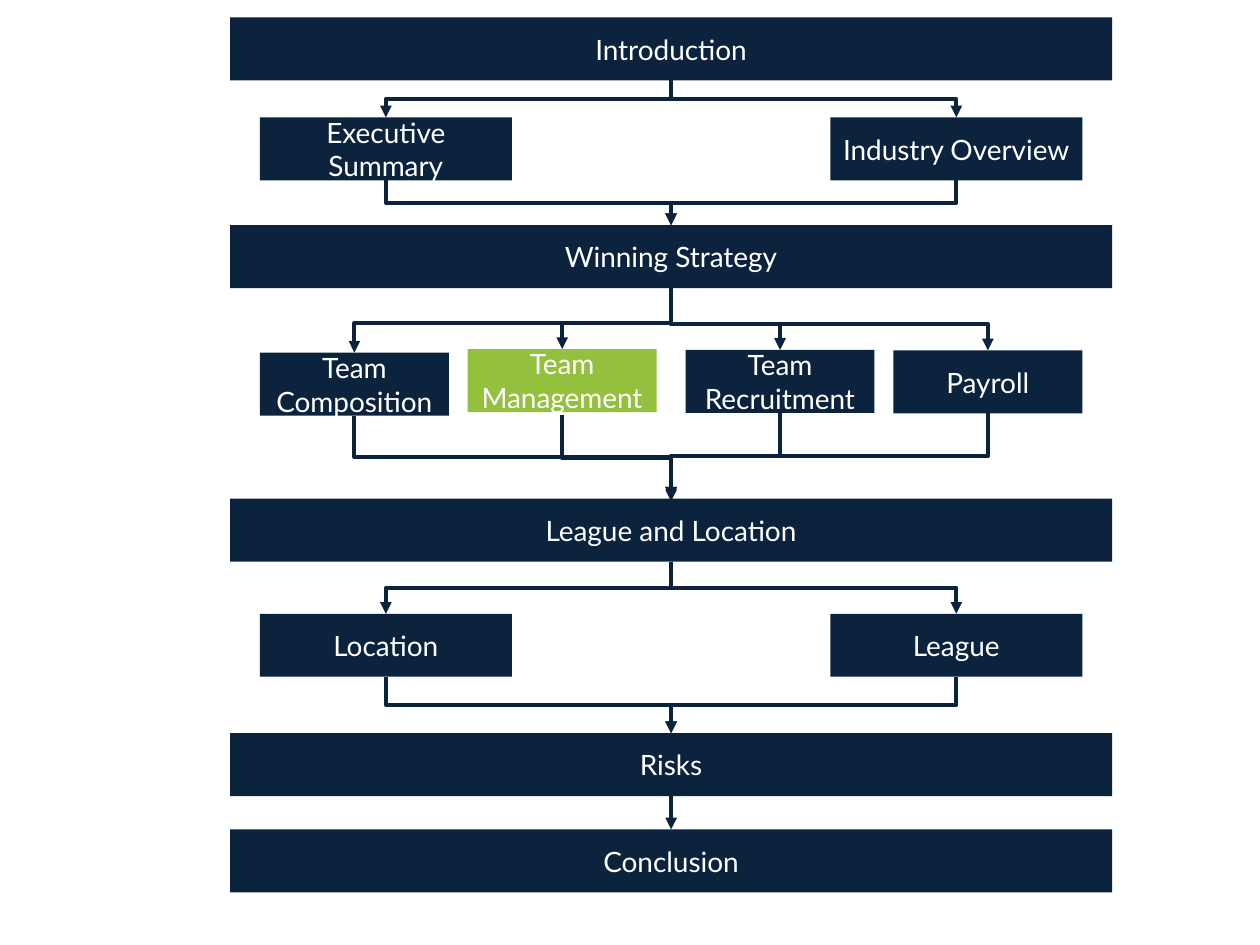
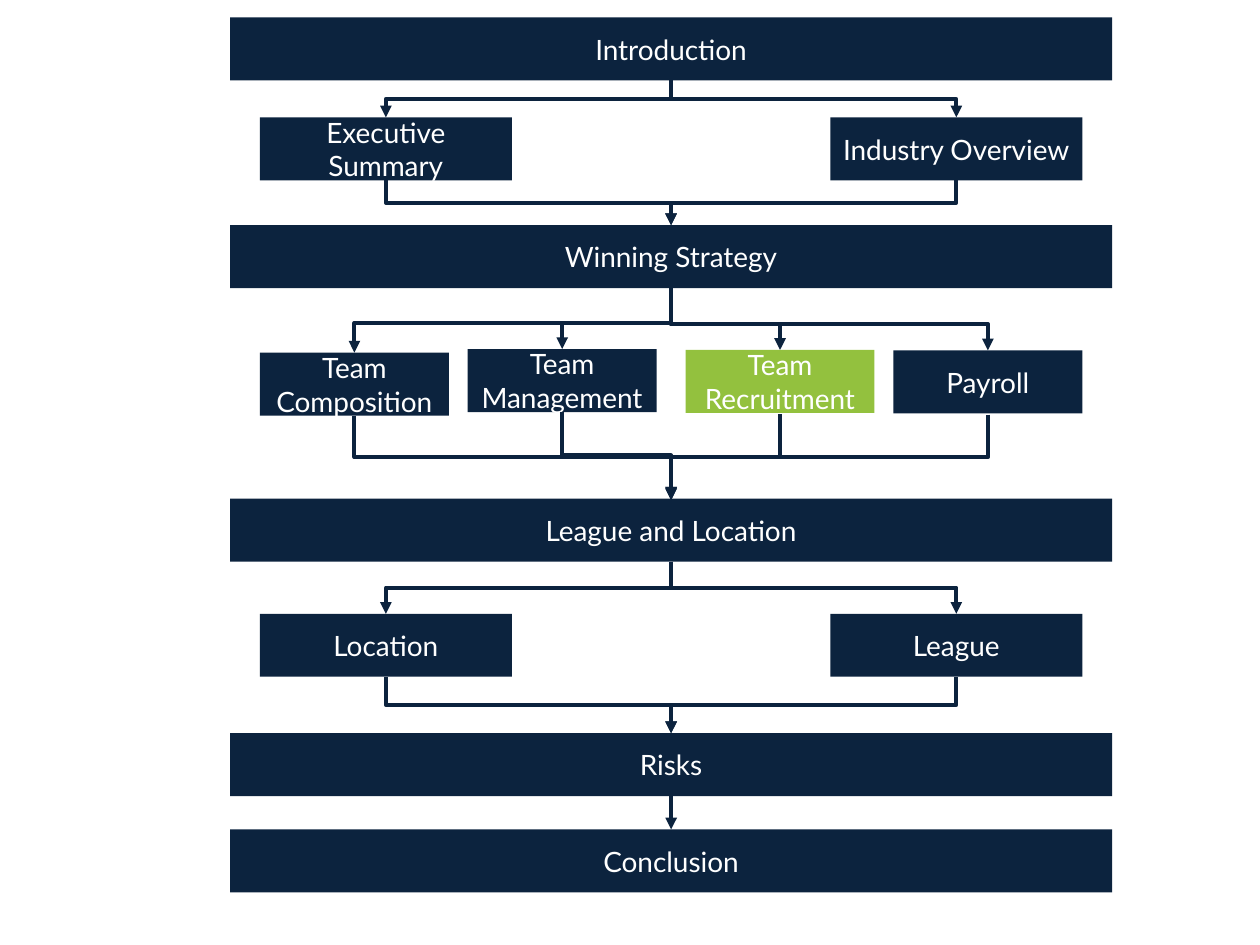
"""Build two report-roadmap slides, each highlighting one section."""
from dataclasses import dataclass, field

from lxml.etree import SubElement
from pptx import Presentation
from pptx.dml.color import RGBColor
from pptx.enum.shapes import MSO_CONNECTOR, MSO_SHAPE
from pptx.enum.text import MSO_ANCHOR, PP_ALIGN
from pptx.oxml.ns import qn
from pptx.slide import Slide
from pptx.util import Pt


@dataclass(frozen=True)
class Theme:
    """Colours, type and line sizes of the deck."""

    navy: RGBColor = RGBColor(0x0C, 0x23, 0x3E)
    green: RGBColor = RGBColor(0x93, 0xC1, 0x3E)
    white: RGBColor = RGBColor(0xFF, 0xFF, 0xFF)
    font: str = "Lato"
    text_size: float = 16
    line_width: float = 2.25


@dataclass(frozen=True)
class Step:
    """A labelled box of the roadmap, measured in points."""

    label: str
    left: float
    top: float
    width: float
    bend: float = 0.5
    height: float = 36

    @property
    def centre(self) -> float:
        """Return the horizontal centre."""
        return self.left + self.width / 2

    @property
    def bottom(self) -> float:
        """Return the lower edge."""
        return self.top + self.height


@dataclass(frozen=True)
class Stage:
    """A full-width section and the topics that branch from it."""

    section: Step
    topics: tuple[Step, ...] = ()


@dataclass(frozen=True)
class Roadmap:
    """One slide: its highlighted topic and lowered outgoing arrows."""

    highlight: str
    arrow_drops: dict[str, float] = field(default_factory=dict)


THEME = Theme()


def section(label: str, top: float) -> Step:
    """Return a full-width section box."""
    return Step(label, 131.5, top, 504)


def pair(left_label: str, right_label: str, top: float) -> tuple[Step, ...]:
    """Return two topic boxes at the outer edges."""
    return Step(left_label, 148.5, top, 144), Step(right_label, 474.5, top, 144)


STAGES = (
    Stage(section("Introduction", 10), pair("Executive Summary", "Industry Overview", 67.1)),
    Stage(
        section("Winning Strategy", 128.7),
        (
            Step("Team Composition", 148.5, 201.5, 108, 0.54),
            Step("Team Management", 267.25, 199.5, 108, 0.58),
            Step("Team Recruitment", 391.75, 200, 108, 0.58),
            Step("Payroll", 510.5, 200.25, 108, 0.58),
        ),
    ),
    Stage(section("League and Location", 285), pair("Location", "League", 350.75)),
    Stage(section("Risks", 419)),
    Stage(section("Conclusion", 474)),
)

ROADMAPS = (
    Roadmap("Team Management", {"Team Management": 1.5}),
    Roadmap("Team Recruitment", {"Team Recruitment": 0.75, "Payroll": 0.75}),
)


def draw_step(page: Slide, step: Step, highlight: str) -> None:
    """Draw one box, in green when it is the highlighted one."""
    box = page.shapes.add_shape(
        MSO_SHAPE.RECTANGLE, Pt(step.left), Pt(step.top), Pt(step.width), Pt(step.height)
    )
    box.shadow.inherit = False
    box.fill.solid()
    box.fill.fore_color.rgb = THEME.green if step.label == highlight else THEME.navy
    box.line.fill.background()
    frame = box.text_frame
    frame.word_wrap = True
    frame.vertical_anchor = MSO_ANCHOR.MIDDLE
    para = frame.paragraphs[0]
    para.text = step.label
    para.alignment = PP_ALIGN.CENTER
    para.font.name = THEME.font
    para.font.size = Pt(THEME.text_size)
    para.font.color.rgb = THEME.white


def draw_arrow(page: Slide, start: Step, end: Step, bend: float = 0.5, drop: float = 0) -> None:
    """Draw a downward arrow between two boxes, bent when they are not aligned."""
    rise = end.top - start.bottom
    run = abs(end.centre - start.centre)
    middle_x = (start.centre + end.centre) / 2
    middle_y = (start.bottom + end.top) / 2 + drop
    half_width, half_height = (rise / 2, run / 2) if run else (0, rise / 2)
    arrow = page.shapes.add_connector(
        MSO_CONNECTOR.ELBOW if run else MSO_CONNECTOR.STRAIGHT,
        Pt(middle_x - half_width),
        Pt(middle_y - half_height),
        Pt(middle_x + half_width),
        Pt(middle_y + half_height),
    )
    arrow.line.color.rgb = THEME.navy
    arrow.line.width = Pt(THEME.line_width)
    properties = arrow.element.spPr
    SubElement(properties.find(qn("a:ln")), qn("a:tailEnd"), type="triangle")
    SubElement(properties, qn("a:effectLst"))
    if run:
        frame = properties.find(qn("a:xfrm"))
        goes_right = end.centre > start.centre
        frame.set("rot", str((270 if goes_right else 90) * 60000))
        if goes_right:
            frame.set("flipH", "1")
        guides = properties.find(qn("a:prstGeom")).find(qn("a:avLst"))
        SubElement(guides, qn("a:gd"), name="adj1", fmla=f"val {round(bend * 100000)}")


def draw_roadmap(page: Slide, roadmap: Roadmap) -> None:
    """Draw all the boxes, then the arrows that link them."""
    for stage in STAGES:
        for step in (stage.section, *stage.topics):
            draw_step(page, step, roadmap.highlight)
    for stage, following in zip(STAGES, STAGES[1:]):
        for topic in stage.topics:
            draw_arrow(page, stage.section, topic, topic.bend)
            drop = roadmap.arrow_drops.get(topic.label, 0)
            draw_arrow(page, topic, following.section, drop=drop)
        if not stage.topics:
            draw_arrow(page, stage.section, following.section)


def main() -> None:
    """Build and save the deck."""
    deck = Presentation()
    deck.slide_width, deck.slide_height = Pt(720), Pt(540)
    for roadmap in ROADMAPS:
        draw_roadmap(deck.slides.add_slide(deck.slide_layouts[6]), roadmap)
    deck.save("out.pptx")


if __name__ == "__main__":
    main()
